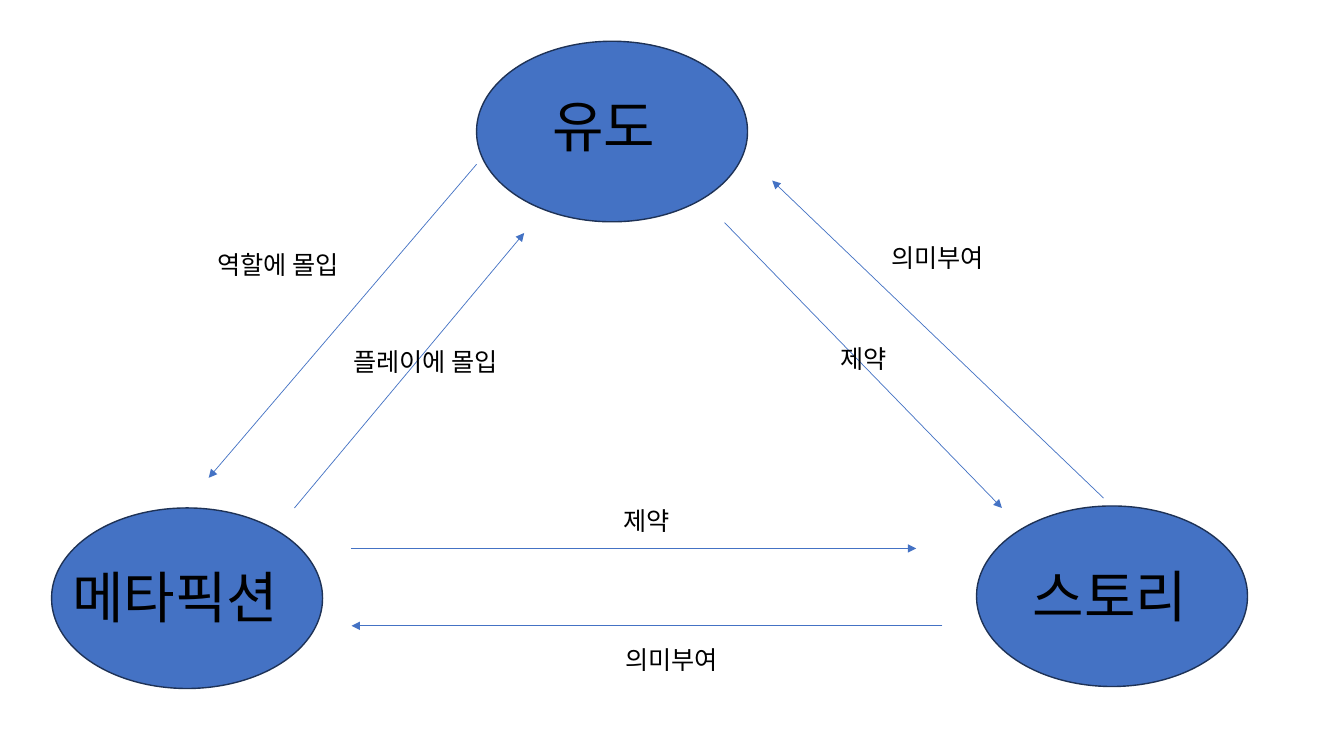
from lxml import etree
from pptx import Presentation
from pptx.dml.color import RGBColor
from pptx.enum.shapes import MSO_CONNECTOR, MSO_SHAPE
from pptx.enum.text import MSO_AUTO_SIZE, PP_ALIGN
from pptx.oxml.ns import qn
from pptx.util import Cm, Pt

NODES = [
    ("유도", (12.01, 1.04), (13.67, 2.18), 4.01),
    ("메타픽션", (1.3, 12.8), (1.57, 14.05), 7.67),
    ("스토리", (24.61, 12.75), (25.78, 14.02), 6.55),
]
ARROWS = [
    ((12.01, 4.14), (5.26, 12.04)),
    ((7.42, 12.8), (13.21, 5.87)),
    ((18.26, 5.61), (25.25, 12.8)),
    ((27.81, 12.55), (19.46, 4.55)),
    ((8.84, 13.82), (23.09, 13.82)),
    ((23.75, 15.77), (8.86, 15.77)),
]
LABELS = [
    ("역할에 몰입", (3.66, 6.15), 6.71),
    ("플레이에 몰입", (7.37, 8.59), 6.71),
    ("의미부여", (20.27, 5.97), 6.71),
    ("제약", (18.26, 8.53), 6.99),
    ("의미부여", (12.34, 16.1), 9.17),
    ("제약", (11.71, 12.6), 9.17),
]

FONT = "Noto Sans CJK KR"
BLUE = RGBColor(0x44, 0x72, 0xC4)
NAVY = RGBColor(0x1E, 0x32, 0x56)
BLACK = RGBColor(0, 0, 0)
OVAL = MSO_SHAPE.OVAL
LINE = MSO_CONNECTOR.STRAIGHT
GROW = MSO_AUTO_SIZE.SHAPE_TO_FIT_TEXT
LEFT, CENTER = PP_ALIGN.LEFT, PP_ALIGN.CENTER
OVAL_W, OVAL_H = Cm(6.83), Cm(4.55)


def add_node(slide, spot):
    oval = slide.shapes.add_shape(OVAL, *map(Cm, spot), OVAL_W, OVAL_H)
    oval.shadow.inherit = False
    oval.fill.solid()
    oval.fill.fore_color.rgb = BLUE
    oval.line.color.rgb = NAVY
    oval.line.width = Pt(1)


def add_text(slide, text, spot, width, height, size, align):
    box = slide.shapes.add_textbox(*map(Cm, spot), Cm(width), Cm(height))
    frame = box.text_frame
    frame.word_wrap = True
    frame.auto_size = GROW
    para = frame.paragraphs[0]
    para.text = text
    para.alignment = align
    font = para.font
    font.size = Pt(size)
    font.name = FONT
    font.color.rgb = BLACK
    for props in para._p.iter(qn("a:defRPr")):
        etree.SubElement(props, qn("a:ea"), typeface=FONT)


def add_arrow(slide, start, end):
    arrow = slide.shapes.add_connector(LINE, *map(Cm, start + end))
    arrow.line.color.rgb = BLUE
    arrow.line.width = Pt(0.5)
    etree.SubElement(arrow.line._get_or_add_ln(), qn("a:tailEnd"), type="triangle")
    etree.SubElement(arrow._element.spPr, qn("a:effectLst"))


def main():
    deck = Presentation()
    deck.slide_width, deck.slide_height = Cm(33.87), Cm(19.05)
    slide = deck.slides.add_slide(deck.slide_layouts[6])
    for _, spot, _, _ in NODES:
        add_node(slide, spot)
    for name, _, spot, width in NODES:
        add_text(slide, name, spot, width, 1.96, 40, LEFT)
    for start, end in ARROWS:
        add_arrow(slide, start, end)
    for text, spot, width in LABELS:
        add_text(slide, text, spot, width, 1.02, 18, CENTER)
    deck.save("out.pptx")


if __name__ == "__main__":
    main()
